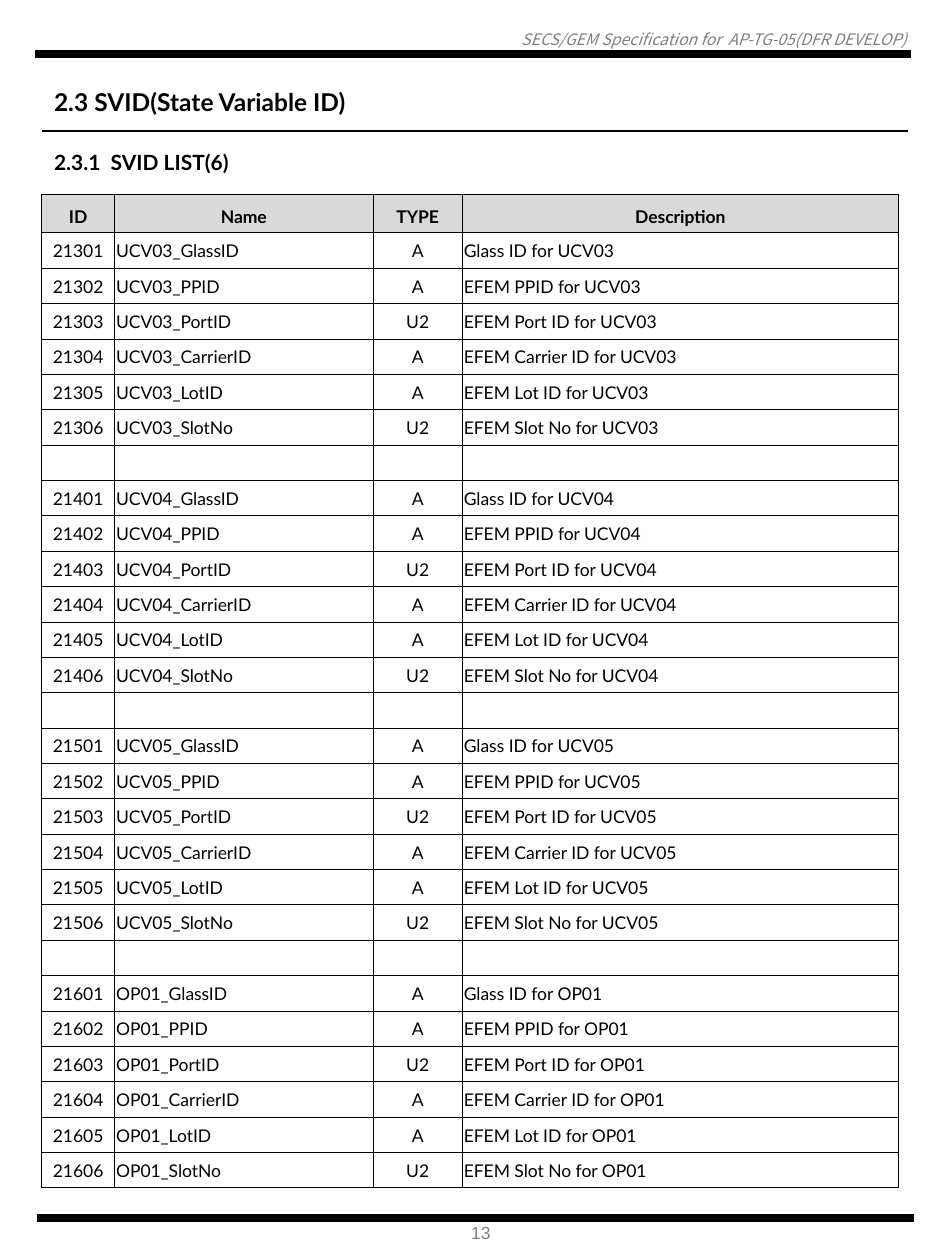
import pptx
import pptx.dml.color
import pptx.enum.shapes
import pptx.enum.text
import pptx.oxml
import pptx.oxml.ns
import pptx.util

Cm, Pt = pptx.util.Cm, pptx.util.Pt
PP_ALIGN = pptx.enum.text.PP_ALIGN
BLACK, GRAY, HEAD_FILL = "000000", "808080", "D9D9D9"
TABLE_FONT = dict(name="Lato", size=Pt(10))

MODULES = [("UCV03", 21300), ("UCV04", 21400), ("UCV05", 21500), ("OP01", 21600)]
VARIABLES = [
    ("GlassID", "A", "Glass ID"),
    ("PPID", "A", "EFEM PPID"),
    ("PortID", "U2", "EFEM Port ID"),
    ("CarrierID", "A", "EFEM Carrier ID"),
    ("LotID", "A", "EFEM Lot ID"),
    ("SlotNo", "U2", "EFEM Slot No"),
]
COLUMNS = [  # heading, width in cm, alignment of the body
    ("ID", 1.47, PP_ALIGN.CENTER),
    ("Name", 5.21, PP_ALIGN.LEFT),
    ("TYPE", 1.8, PP_ALIGN.CENTER),
    ("Description", 8.79, PP_ALIGN.LEFT),
]


def rgb(value):
    return pptx.dml.color.RGBColor.from_string(value)


def set_attrs(obj, values):
    for key, value in values.items():
        setattr(obj, key, value)


def add_run(p, text, color=BLACK, **font):
    r = p.add_run()
    r.text = text
    set_attrs(r.font, font)
    r.font.color.rgb = rgb(color)


def add_text(s, box, text, align=PP_ALIGN.LEFT, frame=None, **font):
    sp = s.shapes.add_textbox(*map(Cm, box))
    tf = sp.text_frame
    set_attrs(tf, dict(word_wrap=False,
                       auto_size=pptx.enum.text.MSO_AUTO_SIZE.SHAPE_TO_FIT_TEXT))
    set_attrs(tf, frame or {})
    p = tf.paragraphs[0]
    p.alignment = align
    add_run(p, text, **font)


def add_rule(s, left, top, width, weight):
    line = s.shapes.add_connector(pptx.enum.shapes.MSO_CONNECTOR.STRAIGHT,
                                  Cm(left), Cm(top), Cm(left + width), Cm(top))
    line.line.color.rgb = rgb(BLACK)
    line.line.width = Pt(weight)
    line._element.spPr.append(pptx.oxml.parse_xml(
        f'<a:effectLst {pptx.oxml.ns.nsdecls("a")}/>'))


def add_page_header(s, left, top, width):
    flush = dict.fromkeys(
        ("margin_left", "margin_right", "margin_top", "margin_bottom"), 0)
    add_text(s, (left, top, width, 0.38),
             "SECS/GEM Specification for  AP-TG-05(DFR DEVELOP)",
             align=PP_ALIGN.RIGHT, frame=dict(flush, word_wrap=True),
             name="Noto Sans CJK KR", size=Pt(9), italic=True, color=GRAY)
    add_rule(s, left + 0.58, top + 0.48, 17.65, 4.75)


def add_page_footer(s, left, top, width):
    add_rule(s, left, top, width, 4.75)
    add_text(s, (left + 8.51, top - 0.05, 0.94, 0.69), "13",
             name="Arial", size=Pt(10), color=GRAY)


def add_headings(s, left, top, width):
    bold = dict(name="Lato", bold=True)
    add_text(s, (left, top, 7.49, 0.86), "2.3 SVID(State Variable ID)",
             size=Pt(14), **bold)
    add_rule(s, left, top + 1.01, width, 0.75)
    add_text(s, (left, top + 1.27, 4.7, 0.76), "2.3.1  SVID LIST(6)",
             size=Pt(12), **bold)


def svid_rows():
    """Return the body rows, with an empty row between modules."""
    rows = []
    for module, base in MODULES:
        if rows:
            rows.append([""] * len(COLUMNS))
        for i, (name, kind, label) in enumerate(VARIABLES, 1):
            rows.append([str(base + i), f"{module}_{name}", kind,
                         f"{label} for {module}"])
    return rows


def set_borders(cell):
    """Put thin black lines on all four sides, before the fill is set."""
    tc_pr = cell._tc.get_or_add_tcPr()
    for side in ("lnL", "lnR", "lnT", "lnB"):
        tc_pr.append(pptx.oxml.parse_xml(
            f'<a:{side} {pptx.oxml.ns.nsdecls("a")} w="{Pt(0.25)}">'
            f'<a:solidFill><a:srgbClr val="{BLACK}"/></a:solidFill></a:{side}>'))


def fill_cell(cell, text, align, heading):
    set_borders(cell)
    side, top, bottom = (0, 0.1, 0.1) if heading else (0.03, 0.03, 0)
    set_attrs(cell, dict(
        vertical_anchor=pptx.enum.text.MSO_ANCHOR.MIDDLE,
        margin_left=Cm(side), margin_right=Cm(side),
        margin_top=Cm(top), margin_bottom=Cm(bottom)))
    p = cell.text_frame.paragraphs[0]
    p.alignment = align
    if heading:
        cell.fill.solid()
        cell.fill.fore_color.rgb = rgb(HEAD_FILL)
        p.line_spacing = Pt(16)
    else:
        cell.fill.background()
    if text:
        add_run(p, text, bold=heading, **TABLE_FONT)
    else:  # keeps an empty row from growing
        p._p.append(pptx.oxml.parse_xml(
            f'<a:endParaRPr {pptx.oxml.ns.nsdecls("a")} sz="1000"/>'))


def add_svid_table(s, left, top, width, height, head_height=0.78):
    body = svid_rows()
    rows = [[heading for heading, _, _ in COLUMNS]] + body
    table = s.shapes.add_table(len(rows), len(COLUMNS), Cm(left), Cm(top),
                               Cm(width), Cm(height)).table
    set_attrs(table, dict(first_row=False, horz_banding=False))
    for column, (_, column_width, _) in zip(table.columns, COLUMNS):
        column.width = Cm(column_width)
    for i, row in enumerate(rows):
        table.rows[i].height = Cm(
            (height - head_height) / len(body) if i else head_height)
        for j, text in enumerate(row):
            align = COLUMNS[j][2] if i else PP_ALIGN.CENTER
            fill_cell(table.cell(i, j), text, align, heading=i == 0)


def main():
    prs = pptx.Presentation()
    set_attrs(prs, dict(slide_width=Cm(19.05), slide_height=Cm(25.4)))
    s = prs.slides.add_slide(prs.slide_layouts[6])
    add_page_header(s, 0.13, 0.61, 18.14)
    add_page_footer(s, 0.74, 24.56, 17.68)
    add_headings(s, 0.84, 1.63, 17.47)
    add_svid_table(s, 0.84, 3.91, 17.27, 20.04)
    prs.save("out.pptx")


if __name__ == "__main__":
    main()
